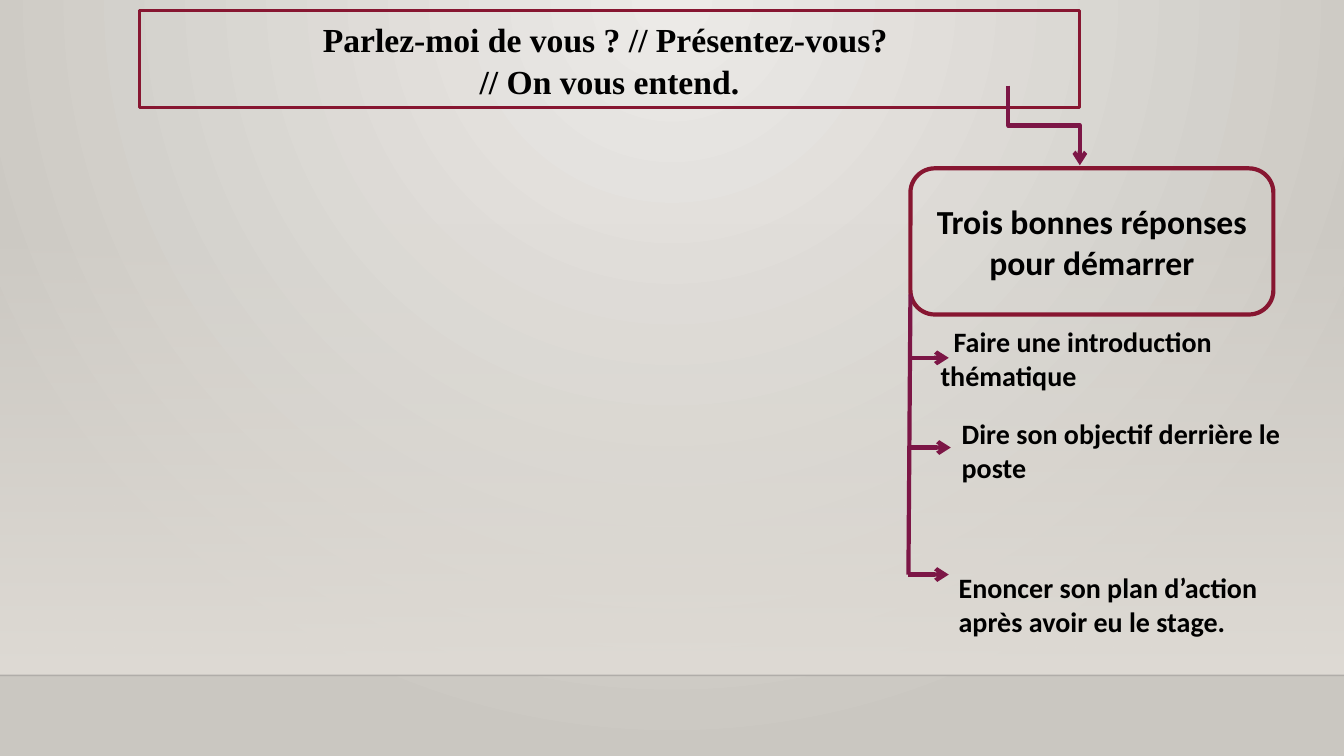
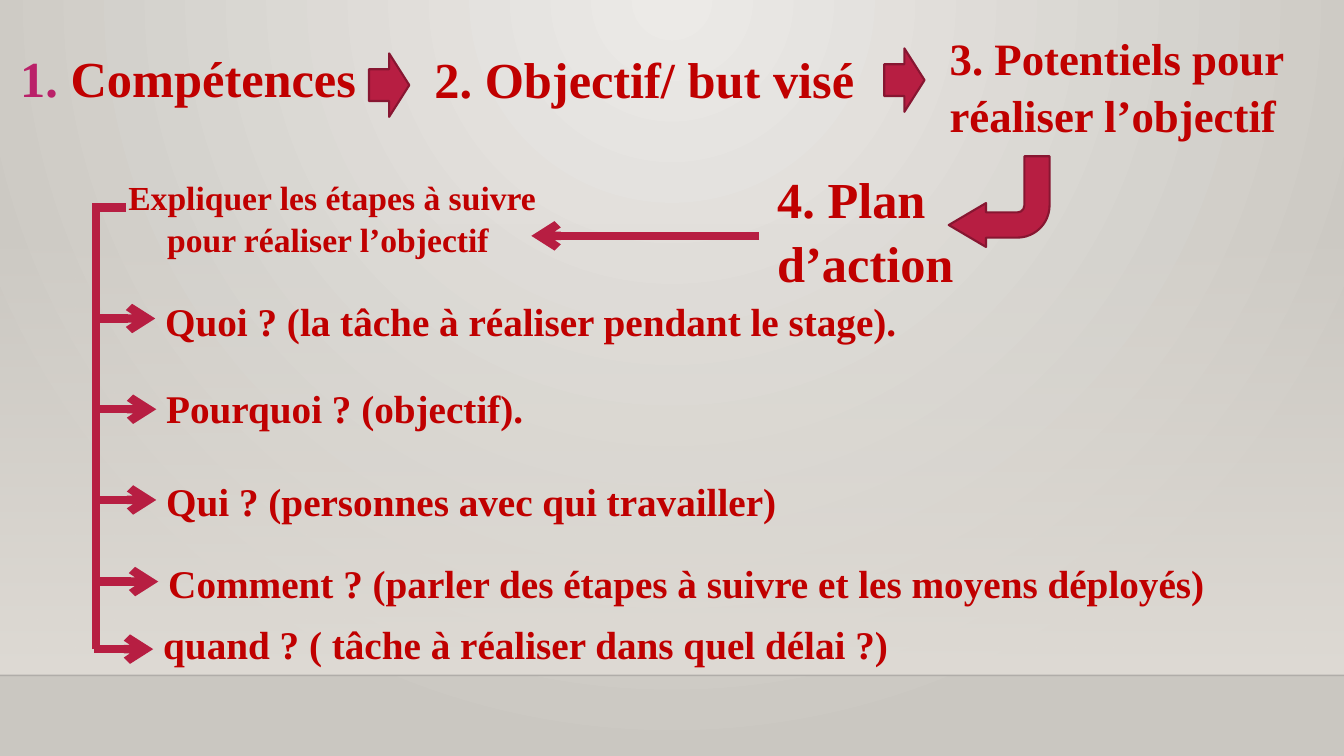
from dataclasses import dataclass

from lxml.etree import SubElement
from pptx import Presentation
from pptx.dml.color import RGBColor
from pptx.enum.shapes import MSO_CONNECTOR as Link, MSO_SHAPE as Preset
from pptx.enum.text import MSO_ANCHOR as Anchor, MSO_AUTO_SIZE as AutoSize, PP_ALIGN as Align
from pptx.oxml import parse_xml
from pptx.oxml.ns import nsdecls, qn
from pptx.util import Inches, Pt


@dataclass(frozen=True)
class Theme:
    ink: str = "000000"
    red: str = "C00000"
    pink: str = "BA2169"
    crimson: str = "B71E42"
    maroon: str = "871631"
    plum: str = "7C1646"
    rule: str = "000001"
    wall: tuple = ((0, "ECEAE7", 100), (100, "CAC7C1", 100))
    glow: tuple = ((0, "DFDBD5", 0), (100, "DFDBD5", 100))
    serif: str = "Times New Roman"
    sans: str = "Calibri"
    heading: int = 36
    subheading: int = 32
    question: int = 28
    lead: int = 24
    answer: int = 20
    serif_spacing: float = 1.05


THEME = Theme()
WIDTH, HEIGHT = 13.33, 7.5
FLOOR = 6.7

OPENING = "Parlez-moi de vous ? // Présentez-vous? \n// On vous entend."
ANSWERS_HEADING = "Trois bonnes réponses pour démarrer"
ANSWERS = [
    ("Faire une introduction thématique", (9.23, 3.22, 3.95, 0.67), 0.13),
    ("Dire son objectif derrière le poste", (9.44, 4.13, 3.5, 0.67), 0),
    ("Enoncer son plan d’action après avoir eu le stage.", (9.41, 5.36, 3.5, 1.27), 0),
]
ANSWER_ARROWS = [(9.01, 3.55), (9.03, 4.44), (9.01, 5.7)]
ANSWER_ARROW_LENGTH = 0.4

FIRST_STEP = (("1. ", THEME.pink), ("Compétences", THEME.red))
STEPS = [
    ("2. Objectif/ but visé", (4.21, 0.5, 4.51, 0.53), THEME.heading, Align.LEFT),
    ("3. Potentiels pour réaliser l’objectif", (9.32, 0.18, 3.92, 1.32), THEME.subheading, Align.LEFT),
    ("4. Plan d’action", (7.61, 1.71, 2.1, 1.12), THEME.heading, Align.LEFT),
    ("Expliquer les étapes à suivre pour réaliser l’objectif ", (1.11, 1.69, 4.37, 0.92), THEME.lead, Align.CENTER),
]
STEP_ARROWS = [
    (Preset.RIGHT_ARROW, (3.66, 0.53, 0.4, 0.63), 0, ()),
    (Preset.RIGHT_ARROW, (8.77, 0.48, 0.4, 0.63), 0, ()),
    (Preset.BENT_ARROW, (9.41, 1.55, 1, 0.9), 180, (0.278, 0.242, 0.41, 0.356)),
]
QUESTIONS = [
    ("Quoi ? (la tâche à réaliser pendant le stage).", 1.54, 2.86, 3.16),
    ("Pourquoi ? (objectif).", 1.55, 3.72, 4.06),
    ("Qui ? (personnes avec qui travailler)", 1.55, 4.65, 4.96),
    ("Comment ? (parler des étapes à suivre et les moyens déployés)", 1.57, 5.46, 5.77),
    ("quand ? ( tâche à réaliser dans quel délai ?)", 1.52, 6.07, 6.44),
]
QUESTION_ARROW_LENGTH = 0.59
QUESTION_SIZE = (11.31, 0.62)
TRUNK = 0.95


def color(code):
    return RGBColor.from_string(code)


def put_gradient(holder, stops, direction):
    marks = "".join(
        f'<a:gs pos="{at * 1000}"><a:srgbClr val="{code}"><a:alpha val="{alpha * 1000}"/></a:srgbClr></a:gs>'
        for at, code, alpha in stops
    )
    gradient = parse_xml(
        f'<a:gradFill {nsdecls("a")} rotWithShape="1"><a:gsLst>{marks}</a:gsLst>{direction}</a:gradFill>'
    )
    solid = holder.find(qn("a:solidFill"))
    holder.replace(solid, gradient)


def place(shape, area):
    shape.left, shape.top, shape.width, shape.height = map(Inches, area)


def outline(shape, code, weight):
    shape.line.color.rgb = color(code)
    shape.line.width = Pt(weight)


def add_preset(page, preset, area):
    shape = page.shapes.add_shape(preset, *map(Inches, area))
    shape.shadow.inherit = False
    return shape


def add_line(page, start, end, code, weight, arrow=False, kind=Link.STRAIGHT):
    line = page.shapes.add_connector(kind, *map(Inches, start + end))
    outline(line, code, weight)
    if arrow:
        SubElement(line.line._get_or_add_ln(), qn("a:tailEnd"), type="arrow")
    SubElement(line._element.spPr, qn("a:effectLst"))
    return line


def format_text(shape, size, font, code, align=Align.LEFT):
    frame = shape.text_frame
    frame.word_wrap = True
    frame.auto_size = AutoSize.NONE
    frame.vertical_anchor = Anchor.MIDDLE
    for para in frame.paragraphs:
        para.alignment = align
        para.line_spacing = THEME.serif_spacing if font == THEME.serif else 1.0
        para.font.name = font
        para.font.size = Pt(size)
        para.font.bold = True
        para.font.color.rgb = color(code)


def add_text(page, text, area, *style):
    box = page.shapes.add_textbox(*map(Inches, area))
    box.text_frame.text = text
    format_text(box, *style)
    return box


def dress_master(master, page):
    master.background.fill.solid()
    put_gradient(
        master.element.cSld.find(".//" + qn("p:bgPr")),
        THEME.wall,
        '<a:path path="circle"><a:fillToRect l="43000" t="0" r="43000" b="100000"/></a:path>',
    )
    glow = add_preset(page, Preset.RECTANGLE, (0, 2.21, WIDTH, FLOOR - 2.21))
    glow.fill.solid()
    glow.line.fill.background()
    put_gradient(glow._element.spPr, THEME.glow, '<a:lin ang="5400000" scaled="0"/>')
    floor = add_line(page, (0, FLOOR), (WIDTH, FLOOR), THEME.rule, 1)
    tint = floor._element.spPr.find(".//" + qn("a:srgbClr"))
    SubElement(tint, qn("a:alpha"), val="20000")
    for index, shape in enumerate((glow, floor), start=2):
        master.element.cSld.spTree.insert(index, shape._element)


def build_opening(page):
    title = page.shapes.title
    place(title, (1.38, 0.1, 9.33, 0.97))
    title._element.spPr.append(
        parse_xml(f'<a:prstGeom {nsdecls("a")} prst="ellipse"><a:avLst/></a:prstGeom>')
    )
    outline(title, THEME.maroon, 2.25)
    title.text_frame.text = OPENING
    format_text(title, THEME.lead, THEME.serif, THEME.ink, Align.CENTER)

    elbow = add_line(page, (10.75, 0.89), (9.96, 1.6), THEME.plum, 3, True, Link.ELBOW)
    elbow._element.spPr.find(qn("a:xfrm")).set("rot", "16200000")

    heading = add_preset(page, Preset.ROUNDED_RECTANGLE, (9.03, 1.67, 3.6, 1.45))
    heading.fill.background()
    outline(heading, THEME.maroon, 3)
    heading.text_frame.text = ANSWERS_HEADING
    format_text(heading, THEME.lead, THEME.sans, THEME.ink, Align.CENTER)

    add_line(page, (9.03, 2.92), (9.01, 5.7), THEME.plum, 3)
    for left, y in ANSWER_ARROWS:
        add_line(page, (left, y), (left + ANSWER_ARROW_LENGTH, y), THEME.plum, 3, True)
    for text, area, indent in ANSWERS:
        box = add_text(page, text, area, THEME.answer, THEME.sans, THEME.ink)
        box.text_frame.paragraphs[0]._p.get_or_add_pPr().set("indent", str(Inches(indent)))


def build_plan(page):
    title = page.shapes.title
    place(title, (0.1, 0.49, 3.76, 0.53))
    para = title.text_frame.paragraphs[0]
    for text, code in FIRST_STEP:
        span = para.add_run()
        span.text = text
        span.font.color.rgb = color(code)
    format_text(title, THEME.heading, THEME.serif, THEME.red)

    for text, area, size, align in STEPS:
        add_text(page, text, area, size, THEME.serif, THEME.red, align)
    for preset, area, turn, adjustments in STEP_ARROWS:
        arrow = add_preset(page, preset, area)
        arrow.rotation = turn
        for index, value in enumerate(adjustments):
            arrow.adjustments[index] = value
        arrow.fill.solid()
        arrow.fill.fore_color.rgb = color(THEME.crimson)
        outline(arrow, THEME.maroon, 1.5)

    add_line(page, (7.53, 2.34), (5.27, 2.34), THEME.crimson, 6, True)
    add_line(page, (1.25, 2.06), (TRUNK, 2.06), THEME.crimson, 6)
    add_line(page, (TRUNK, 6.44), (TRUNK, 2.01), THEME.crimson, 6)
    for text, left, top, y in QUESTIONS:
        add_line(page, (left - QUESTION_ARROW_LENGTH, y), (left, y), THEME.crimson, 6, True)
        add_text(page, text, (left, top, *QUESTION_SIZE), THEME.question, THEME.serif, THEME.red)


deck = Presentation()
deck.slide_width, deck.slide_height = Inches(WIDTH), Inches(HEIGHT)
title_only = deck.slide_layouts[5]
pages = [deck.slides.add_slide(title_only) for _ in range(2)]
dress_master(deck.slide_master, pages[0])
for build, page in zip((build_opening, build_plan), pages):
    build(page)
deck.save("out.pptx")
